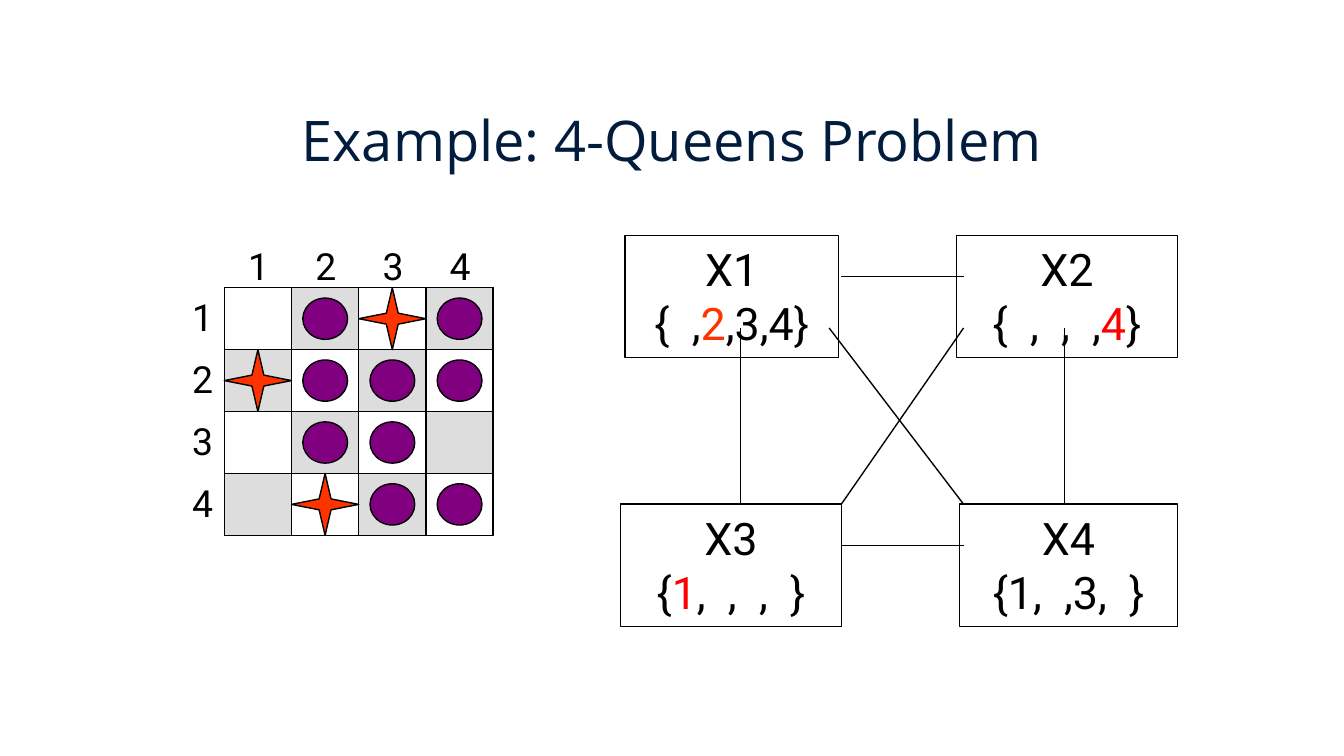
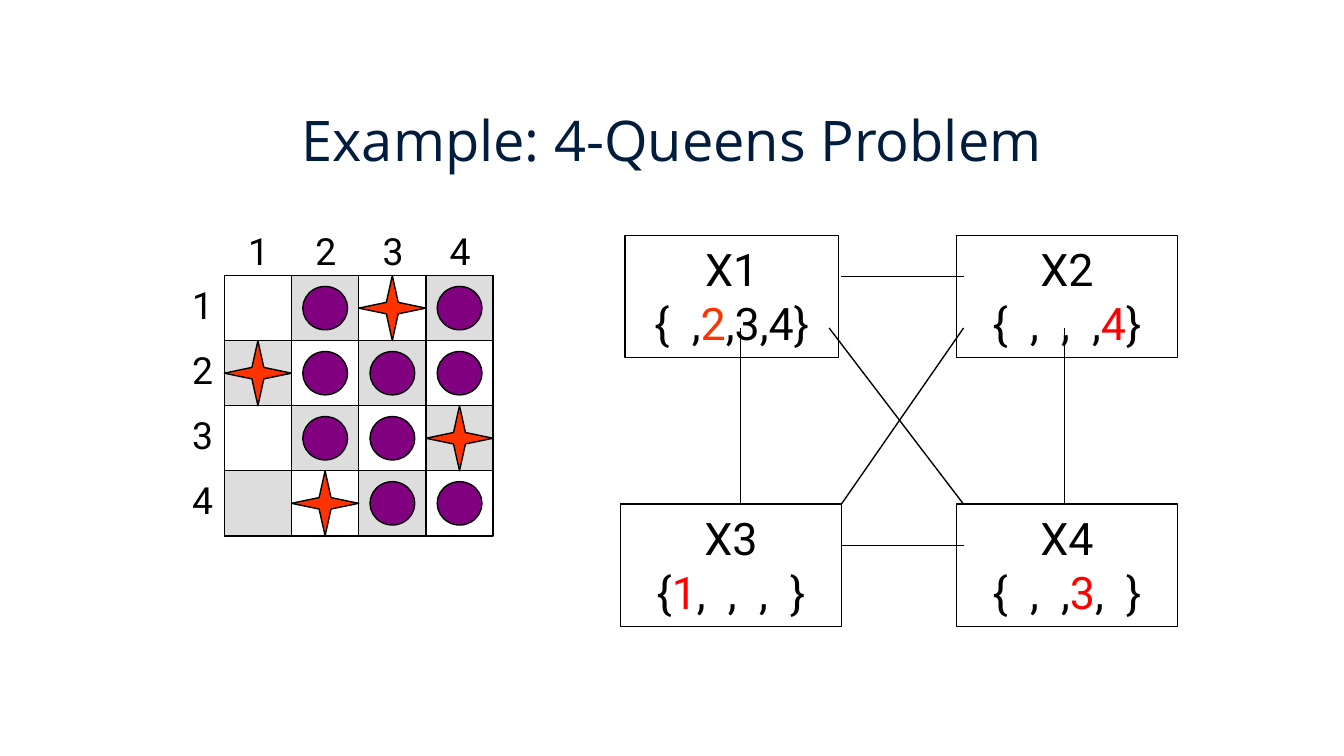
from pptx import Presentation
from pptx.dml.color import RGBColor
from pptx.enum.shapes import MSO_CONNECTOR, MSO_SHAPE
from pptx.enum.text import MSO_ANCHOR, PP_ALIGN
from pptx.oxml.ns import qn
from pptx.util import Cm, Pt
from lxml import etree

RECT, OVAL, STAR = MSO_SHAPE.RECTANGLE, MSO_SHAPE.OVAL, MSO_SHAPE.STAR_4_POINT
LINE = MSO_CONNECTOR.STRAIGHT
TOP = MSO_ANCHOR.TOP
LEFT, MID = PP_ALIGN.LEFT, PP_ALIGN.CENTER

COLORS = {"ink": "000000", "title": "011C3C", "gray": "DDDDDD",
          "queen": "FF3300", "red": "FF0000", "dot": "800080"}
TITLE = "Example: 4-Queens Problem"
HEAD, BODY = "Open Sans", "Roboto"

X1 = ("X1", 11.81, 4.45, 4.04, [("{  ,", "ink"), ("2", "queen"), (",3,4}", "ink")])
X2 = ("X2", 18.08, 4.45, 4.17, [("{  ,  ,  ,", "ink"), ("4", "red"), ("}", "ink")])
X3 = ("X3", 11.73, 9.53, 4.17, [("{", "ink"), ("1", "red"), (",  ,  ,  }", "ink")])
OPEN = ("X4", 18.14, 9.53, 4.11, [("{1,  ,3,  }", "ink")])
DONE = ("X4", 18.08, 9.53, 4.17, [("{  ,  ,", "ink"), ("3", "red"), (",  }", "ink")])
BOX_H = 2.31

LINKS = [
    (15.9, 5.23, 18.21, 5.23), (14, 6.2, 14, 9.53),
    (15.9, 10.31, 18.21, 10.31), (20.12, 6.2, 20.12, 9.53),
    (15.67, 6.2, 18.21, 9.53), (18.21, 6.2, 15.9, 9.53),
]

SLIDES = [
    {"top": 5.44, "cell": 1.17, "nodes": [X1, X3, OPEN, X2],
     "board": [".oQo", "Qooo", ".oo.", ".Qoo"]},
    {"top": 5.21, "cell": 1.23, "nodes": [X1, X3, DONE, X2],
     "board": [".oQo", "Qooo", ".ooQ", ".Qoo"]},
]
SIDE, WIDE = 4.24, 1.27


def tint(name):
    return RGBColor.from_string(COLORS[name])


def style(run, size, color, font=BODY):
    run.font.name = font
    run.font.size = Pt(size)
    run.font.color.rgb = tint(color)


def shape(group, kind, x, y, w, h, fill=None):
    item = group.shapes.add_shape(kind, Cm(x), Cm(y), Cm(w), Cm(h))
    item.shadow.inherit = False
    if fill:
        item.fill.solid()
        item.fill.fore_color.rgb = tint(fill)
    else:
        item.fill.background()
    item.line.color.rgb = tint("ink")
    item.line.width = Pt(0.75)
    return item


def label(home, text, x, y, w, h, size, color="ink", font=BODY, align=LEFT):
    frame = home.shapes.add_textbox(Cm(x), Cm(y), Cm(w), Cm(h)).text_frame
    frame.text = text
    frame.word_wrap = False
    frame.vertical_anchor = TOP
    para = frame.paragraphs[0]
    para.alignment = align
    style(para.runs[0], size, color, font)
    return frame


def node(group, name, x, y, w, parts):
    frame = shape(group, RECT, x, y, w, BOX_H).text_frame
    frame.word_wrap = False
    frame.vertical_anchor = TOP
    frame.text = name
    first, second = frame.paragraphs[0], frame.add_paragraph()
    first.alignment = second.alignment = MID
    style(first.runs[0], 24, "ink")
    for text, color in parts:
        run = second.add_run()
        run.text = text
        style(run, 24, color)


def link(group, *ends):
    line = group.shapes.add_connector(LINE, *map(Cm, ends))
    line.line.color.rgb = tint("ink")
    line.line.width = Pt(0.75)
    etree.SubElement(line._element.spPr, qn("a:effectLst"))


def graph(slide, nodes):
    group = slide.shapes.add_group_shape()
    for item in nodes:
        node(group, *item)
    for ends in LINKS:
        link(group, *ends)


def board(slide, rows, top, cell):
    group = slide.shapes.add_group_shape()
    count = len(rows)
    shape(group, RECT, SIDE, top, count * WIDE, count * cell)
    spots = [(SIDE + col * WIDE, top + row * cell, row + col, mark)
             for row, marks in enumerate(rows) for col, mark in enumerate(marks)]
    for x, y, step, mark in spots:
        if step % 2:
            shape(group, RECT, x, y, WIDE, cell, "gray")
    for pos in range(count):
        text, high = str(pos + 1), cell * 7 / 6
        label(group, text, SIDE - 0.86, top + pos * cell, 0.89, high, 20)
        label(group, text, SIDE + 0.2 + pos * WIDE, top - cell * 5 / 6, 0.89, high, 20)
    for x, y, step, mark in spots:
        if mark == "Q":
            star = shape(group, STAR, x, y, WIDE, cell, "queen")
            star.adjustments[0] = 0.125
        elif mark == "o":
            shape(group, OVAL, x + WIDE / 6, y + cell / 6,
                  WIDE * 2 / 3, cell * 2 / 3, "dot")


def main():
    deck = Presentation()
    deck.slide_width, deck.slide_height = Cm(25.4), Cm(14.29)
    for data in SLIDES:
        slide = deck.slides.add_slide(deck.slide_layouts[6])
        frame = label(slide, TITLE, 1.27, 2, 22.86, 1.9, 30, "title", HEAD, MID)
        frame.word_wrap = True
        frame.margin_top = 0
        graph(slide, data["nodes"])
        board(slide, data["board"], data["top"], data["cell"])
    deck.save("out.pptx")


if __name__ == "__main__":
    main()
